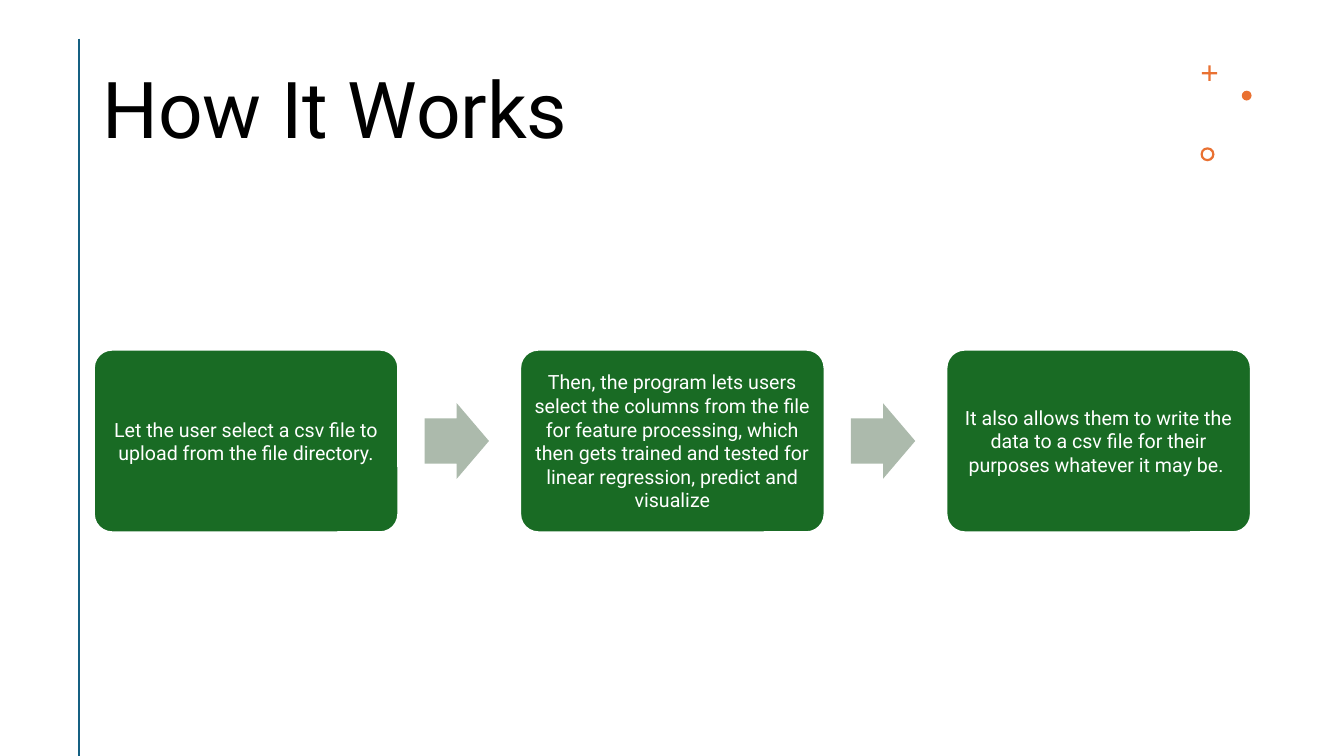
from pptx import Presentation
from pptx.dml.color import RGBColor
from pptx.enum.shapes import MSO_CONNECTOR, MSO_SHAPE
from pptx.enum.text import MSO_ANCHOR, PP_ALIGN
from pptx.oxml.ns import qn
from pptx.util import Pt
from lxml import etree

ROUNDED, ARROW = MSO_SHAPE.ROUNDED_RECTANGLE, MSO_SHAPE.RIGHT_ARROW
CROSS, OVAL, DONUT = MSO_SHAPE.CROSS, MSO_SHAPE.OVAL, MSO_SHAPE.DONUT
STRAIGHT = MSO_CONNECTOR.STRAIGHT
MIDDLE, LEFT, CENTER = MSO_ANCHOR.MIDDLE, PP_ALIGN.LEFT, PP_ALIGN.CENTER

COLORS = {
    "black": "000000",
    "white": "FFFFFF",
    "green": "196B24",
    "sage": "ACBAAC",
    "orange": "E97132",
    "teal": "156082",
}
STEPS = [
    "Let the user select a csv file to upload from the file directory.",
    "Then, the program lets users select the columns from the file for feature "
    "processing, which then gets trained and tested for linear regression, "
    "predict and visualize",
    "It also allows them to write the data to a csv file for their purposes "
    "whatever it may be. ",
]
STEP_LEFT, STEP_PITCH, STEP_W, STEP_H = 67, 304.5, 217.5, 130.5
ARROW_W, ARROW_H, ARROW_OFFSET = 46, 54, 236.25
ROW_MIDDLE = 315


class Deck:
    """Draws styled elements on the current slide."""

    font = "Roboto"

    def __init__(self, width, height):
        self.prs = Presentation()
        self.prs.slide_width, self.prs.slide_height = Pt(width), Pt(height)
        self.s = self.prs.slides.add_slide(self.prs.slide_layouts[6])

    def color(self, name):
        return RGBColor.from_string(COLORS[name])

    def text(self, tf, text, size, color, align, spacing):
        tf.word_wrap = True
        tf.vertical_anchor = MIDDLE
        p = tf.paragraphs[0]
        p.alignment = align
        p.line_spacing = spacing
        r = p.add_run()
        r.text = text
        r.font.name, r.font.size = self.font, Pt(size)
        r.font.color.rgb = self.color(color)

    def title(self, text, x, y, w, h):
        sp = self.s.shapes.add_textbox(Pt(x), Pt(y), Pt(w), Pt(h))
        self.text(sp.text_frame, text, 56, "black", LEFT, 0.9)

    def shape(self, kind, x, y, w, h, fill, adjustments=()):
        sp = self.s.shapes.add_shape(kind, Pt(x), Pt(y), Pt(w), Pt(h))
        sp.shadow.inherit = False
        sp.fill.solid()
        sp.fill.fore_color.rgb = self.color(fill)
        sp.line.fill.background()
        for i, value in enumerate(adjustments):
            sp.adjustments[i] = value
        return sp

    def step(self, text, x, y, w, h):
        sp = self.shape(ROUNDED, x, y, w, h, "green", [0.1])
        sp.line.color.rgb = self.color("white")
        sp.line.width = Pt(1.5)
        tf = sp.text_frame
        tf.margin_left = tf.margin_right = Pt(4.2)
        tf.margin_top = tf.margin_bottom = Pt(4.2)
        self.text(tf, text, 14, "white", CENTER, 1.0)

    def line(self, x1, y1, x2, y2, color, width):
        c = self.s.shapes.add_connector(STRAIGHT, Pt(x1), Pt(y1), Pt(x2), Pt(y2))
        c.line.color.rgb = self.color(color)
        c.line.width = Pt(width)
        etree.SubElement(c._element.spPr, qn("a:effectLst"))


def main():
    deck = Deck(960, 540)
    deck.title("How It Works", 66, 29, 775, 104)
    deck.line(56.4, 27.6, 56.4, 540, "teal", 2)

    deck.shape(CROSS, 858.5, 46.8, 11, 11, "orange", [0.43])
    deck.shape(OVAL, 887, 64.8, 7, 7, "orange")
    deck.shape(DONUT, 857.5, 105.2, 10, 10, "orange", [0.16])

    for i, text in enumerate(STEPS):
        x = STEP_LEFT + i * STEP_PITCH
        deck.step(text, x, ROW_MIDDLE - STEP_H / 2, STEP_W, STEP_H)
        if i < len(STEPS) - 1:
            deck.shape(ARROW, x + ARROW_OFFSET, ROW_MIDDLE - ARROW_H / 2,
                       ARROW_W, ARROW_H, "sage", [0.6, 0.5])

    deck.prs.save("out.pptx")


if __name__ == "__main__":
    main()
